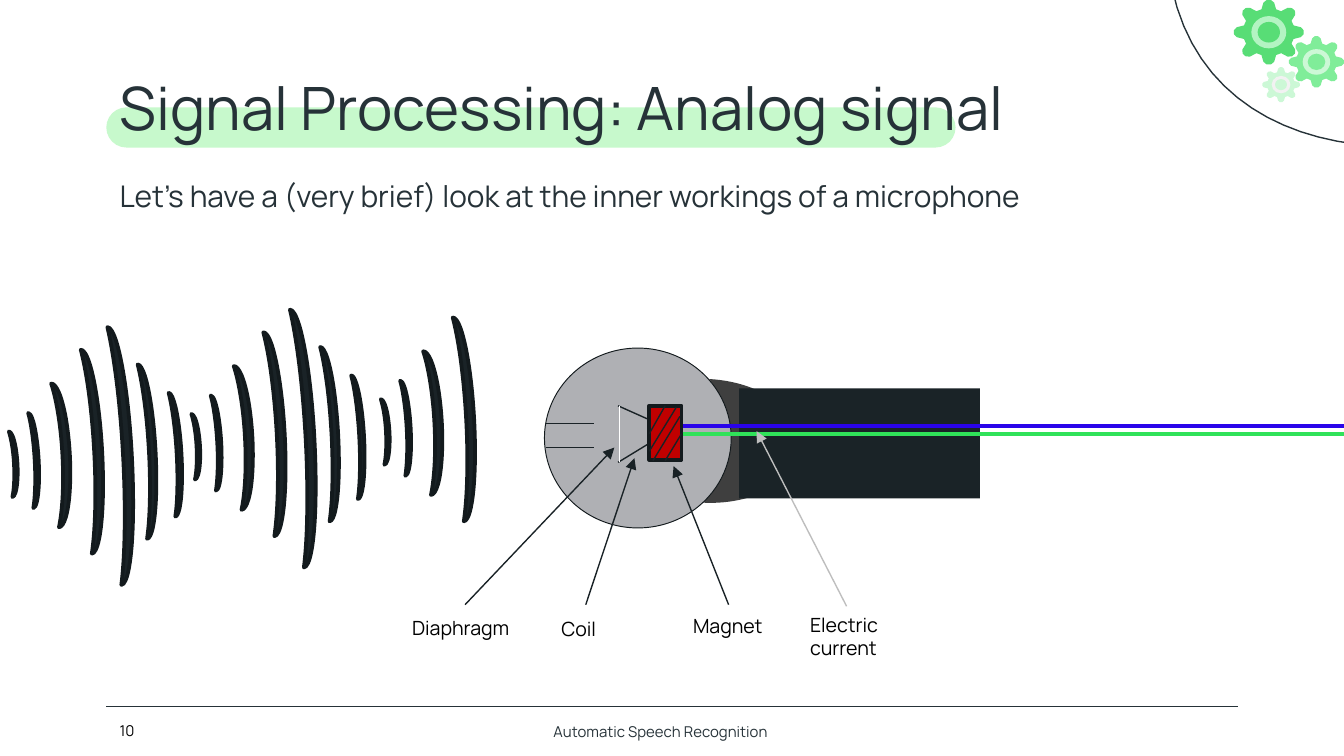
"""Build the slide on analog signals and the inside of a microphone."""
import dataclasses
import math

import lxml.etree
import pptx
import pptx.dml.color
import pptx.enum.shapes
import pptx.enum.text
import pptx.oxml.ns
import pptx.util

Cm = pptx.util.Cm
Pt = pptx.util.Pt
SHAPE = pptx.enum.shapes.MSO_SHAPE


@dataclasses.dataclass(frozen=True)
class Theme:
    """Colours, type sizes and font of the slide."""
    font: str = "Manrope"
    ink: str = "263238"
    black: str = "000000"
    white: str = "FFFFFF"
    highlight: str = "C7F9CC"
    dark: str = "1A2327"
    edge: str = "131A1D"
    wire: str = "192226"
    neck: str = "3F3F3F"
    head: str = "AFB0B4"
    magnet: str = "C00000"
    blue: str = "2A04EA"
    green: str = "30E259"
    pointer: str = "BEBEBE"
    title: float = 32
    body: float = 16
    label: float = 10.5
    small: float = 8


THEME = Theme()

WAVE = [
    (0.2, 8.15, 0.13, 1.24), (0.58, 7.8, 0.15, 1.8), (1.04, 7.24, 0.28, 2.72),
    (1.63, 6.6, 0.3, 3.86), (2.16, 6.17, 0.33, 4.88), (2.69, 6.88, 0.25, 3.3),
    (3.25, 7.42, 0.18, 2.34),
]
WAVE_REPEATS = [(0, 0, 7), (3.45, -0.33, 7), (7.03, -0.61, 4)]

CORNER_START = (30.89, -5.46)
CORNER_CURVES = [
    ((30.66, -5.46), (30.4, -5.41), (30.15, -5.26)),
    ((29.16, -4.75), (29.08, -3.66), (27.76, -3.58)),
    ((27.61, -3.58), (27.48, -3.58), (27.36, -3.58)),
    ((26.72, -3.58), (26.14, -3.63), (25.55, -3.63)),
    ((24.87, -3.63), (24.18, -3.56), (23.42, -3.15)),
    ((22.15, -2.44), (21.89, -1.42), (22.15, -0.23)),
    ((22.58, 1.83), (24.33, 2.77), (26.39, 2.77)),
    ((27.25, 2.77), (28.17, 2.62), (29.06, 2.26)),
    ((31.83, 1.19), (33.12, -1.27), (32.49, -3.73)),
    ((32.31, -4.5), (31.78, -5.46), CORNER_START),
]

TOOTH = [(-16.5, 0.74), (-9.5, 0.93), (-3.5, 1), (3.5, 1), (9.5, 0.93), (16.5, 0.74)]
GEARS = [
    (23.98, 0.61, 1.32, 1.22, "58DD76", "B3F4C2"),
    (24.88, 1.17, 1.04, 0.97, "80ED99", "CCF8D6"),
    (24.21, 1.6, 0.71, 0.66, "CCF8D6", "F2F2F2"),
]

HATCHES = [
    (12.27, 8.2, 12.57, 7.67), (12.27, 8.53, 12.78, 7.7),
    (12.34, 8.71, 12.85, 7.87), (12.57, 8.71, 12.88, 8.2),
]
COIL = [
    (10.31, 8.46, 11.23, 8.46), (10.31, 8, 11.23, 8),
    (11.68, 8.74, 12.27, 8.38), (11.68, 7.67, 12.24, 7.92),
]
POINTERS = [
    (8.79, 11.43, 11.61, 8.46, THEME.wire), (11.07, 11.43, 11.99, 8.66, THEME.wire),
    (13.77, 11.43, 12.73, 8.81, THEME.wire), (16, 11.46, 14.3, 8.15, THEME.pointer),
]
LABELS = [
    (["Diaphragm"], (7.54, 11.51, 2.74, 0.74)), (["Coil"], (10.36, 11.53, 1.22, 0.71)),
    (["Magnet"], (12.85, 11.48, 1.96, 0.71)), (["Electric", "current"], (15.06, 11.46, 1.85, 1.14)),
]


def rgb(value):
    """Turn a hex string into a colour."""
    return pptx.dml.color.RGBColor.from_string(value)


def paint(sp, fill=None, line=None, width=0.75):
    """Set fill and outline, and drop the shadow."""
    sp.shadow.inherit = False
    if fill:
        sp.fill.solid()
        sp.fill.fore_color.rgb = rgb(fill)
    else:
        sp.fill.background()
    if line:
        sp.line.color.rgb = rgb(line)
        sp.line.width = Pt(width)
    else:
        sp.line.fill.background()


def add_shape(shapes, kind, box, fill, line=None, width=2, rotation=0, adj=None):
    """Add a painted preset shape."""
    sp = shapes.add_shape(kind, *map(Cm, box))
    sp.rotation = rotation
    if adj is not None:
        sp.adjustments[0] = adj
    paint(sp, fill, line, width)
    return sp


def add_outline(shapes, points, fill=None, line=None):
    """Add a closed freeform through the points."""
    pts = [(Cm(x), Cm(y)) for x, y in points]
    builder = shapes.build_freeform(*pts[0], scale=1.0)
    builder.add_line_segments(pts[1:], close=True)
    paint(builder.convert_to_shape(), fill, line)


def add_line(shapes, ends, color, width=0.75, arrow=False):
    """Add a straight line, with an arrowhead at its end if asked."""
    cxn = shapes.add_connector(pptx.enum.shapes.MSO_CONNECTOR.STRAIGHT, *map(Cm, ends))
    cxn.line.color.rgb = rgb(color)
    cxn.line.width = Pt(width)
    qn = pptx.oxml.ns.qn
    sp_pr = cxn._element.spPr
    if arrow:
        lxml.etree.SubElement(sp_pr.find(qn("a:ln")), qn("a:tailEnd"), type="triangle")
    lxml.etree.SubElement(sp_pr, qn("a:effectLst"))


def write(tf, lines, size, color, anchor=pptx.enum.text.MSO_ANCHOR.TOP):
    """Write left-aligned paragraphs into a text frame."""
    tf.word_wrap = True
    tf.auto_size = pptx.enum.text.MSO_AUTO_SIZE.NONE
    tf.vertical_anchor = anchor
    for i, line in enumerate(lines):
        p = tf.add_paragraph() if i else tf.paragraphs[0]
        p.alignment = pptx.enum.text.PP_ALIGN.LEFT
        r = p.add_run()
        r.text = line
        r.font.name = THEME.font
        r.font.size = Pt(size)
        r.font.color.rgb = rgb(color)


def add_text(shapes, lines, box, size, color, **options):
    """Add a text box and return its text frame."""
    tf = shapes.add_textbox(*map(Cm, box)).text_frame
    write(tf, lines, size, color, **options)
    return tf


def add_title(shapes, text, box):
    """Place the title placeholder over its highlight."""
    add_shape(shapes, SHAPE.ROUNDED_RECTANGLE, (2.01, 2.03, 16.05, 0.76), THEME.highlight, adj=0.5)
    sp = shapes.title
    sp.left, sp.top, sp.width, sp.height = map(Cm, box)
    tf = sp.text_frame
    tf.margin_left = tf.margin_right = tf.margin_top = tf.margin_bottom = Cm(0.25)
    write(tf, [text], THEME.title, THEME.ink)
    shapes._spTree.append(sp._element)


def add_corner(shapes, steps=16):
    """Draw the curved corner outline from its Bézier segments."""
    points = [CORNER_START]
    for a, b, end in CORNER_CURVES:
        start = points[-1]
        for t in (i / steps for i in range(1, steps + 1)):
            weights = ((1 - t) ** 3, 3 * t * (1 - t) ** 2, 3 * t * t * (1 - t), t ** 3)
            points.append(tuple(sum(w * q[k] for w, q in zip(weights, (start, a, b, end))) for k in (0, 1)))
    add_outline(shapes, points, line=THEME.ink)


def add_gear(shapes, x, y, w, h, color, ring):
    """Draw an eight-toothed gear with a ring and a hub."""
    turns = [(math.radians(45 * i + a), r) for i in range(8) for a, r in TOOTH]
    add_outline(shapes, [(x + w / 2 * r * math.sin(a), y - h / 2 * r * math.cos(a)) for a, r in turns], color)
    for ratio, fill in ((0.5, ring), (0.32, color)):
        box = (x - w * ratio / 2, y - h * ratio / 2, w * ratio, h * ratio)
        add_shape(shapes, SHAPE.OVAL, box, fill)


def add_waves(shapes):
    """Draw the sound wave and its repeats."""
    for dx, dy, count in WAVE_REPEATS:
        for x, y, w, h in WAVE[:count]:
            add_shape(shapes, SHAPE.MOON, (x + dx, y + dy, w, h), THEME.dark, THEME.edge, rotation=176.9)


def add_microphone(shapes):
    """Draw the microphone with its coil, magnet, wires and labels."""
    add_shape(shapes, SHAPE.MOON, (13.34, 7.21, 1.8, 2.34), THEME.neck, rotation=183, adj=0.75)
    add_shape(shapes, SHAPE.RECTANGLE, (13.97, 7.34, 4.55, 2.08), THEME.dark)
    add_shape(shapes, SHAPE.OVAL, (10.29, 6.58, 3.53, 3.4), THEME.head, THEME.edge, 0.5)
    for ends in COIL:
        add_line(shapes, ends, THEME.wire)
    add_shape(shapes, SHAPE.RECTANGLE, (12.27, 7.67, 0.61, 1.02), THEME.magnet, THEME.edge)
    for ends in HATCHES:
        add_line(shapes, ends, THEME.wire)
    add_line(shapes, (11.71, 7.67, 11.71, 8.74), THEME.white)
    for y, color in ((8.05, THEME.blue), (8.2, THEME.green)):
        add_line(shapes, (12.9, y, 25.76, y), color, 2)
    for *ends, color in POINTERS:
        add_line(shapes, ends, color, arrow=True)
    for lines, box in LABELS:
        add_text(shapes, lines, box, THEME.label, THEME.black)


def main():
    """Build and save the slide."""
    prs = pptx.Presentation()
    prs.slide_width, prs.slide_height = Cm(25.4), Cm(14.29)
    shapes = prs.slides.add_slide(prs.slide_layouts[5]).shapes
    add_title(shapes, "Signal Processing: Analog signal", (2.01, 1.09, 21.41, 1.7))
    add_corner(shapes)
    add_line(shapes, (2.01, 13.36, 23.39, 13.36), THEME.ink, 0.5)
    add_text(shapes, ["Automatic Speech Recognition"], (10.21, 13.54, 4.98, 0.61), THEME.small, THEME.ink)
    tf = add_text(shapes, ["Let’s have a (very brief) look at the inner workings of a microphone"],
                  (2.01, 3.1, 21.95, 10.19), THEME.body, THEME.ink)
    tf.margin_top = tf.margin_bottom = Cm(0.25)
    tf.paragraphs[0].space_before = Pt(3)
    add_waves(shapes)
    add_microphone(shapes)
    gears = shapes.add_group_shape().shapes
    for gear in GEARS:
        add_gear(gears, *gear)
    add_text(shapes, ["10"], (2.01, 13.34, 1.02, 0.94), THEME.small, THEME.black,
             anchor=pptx.enum.text.MSO_ANCHOR.MIDDLE)
    prs.save("out.pptx")


if __name__ == "__main__":
    main()
